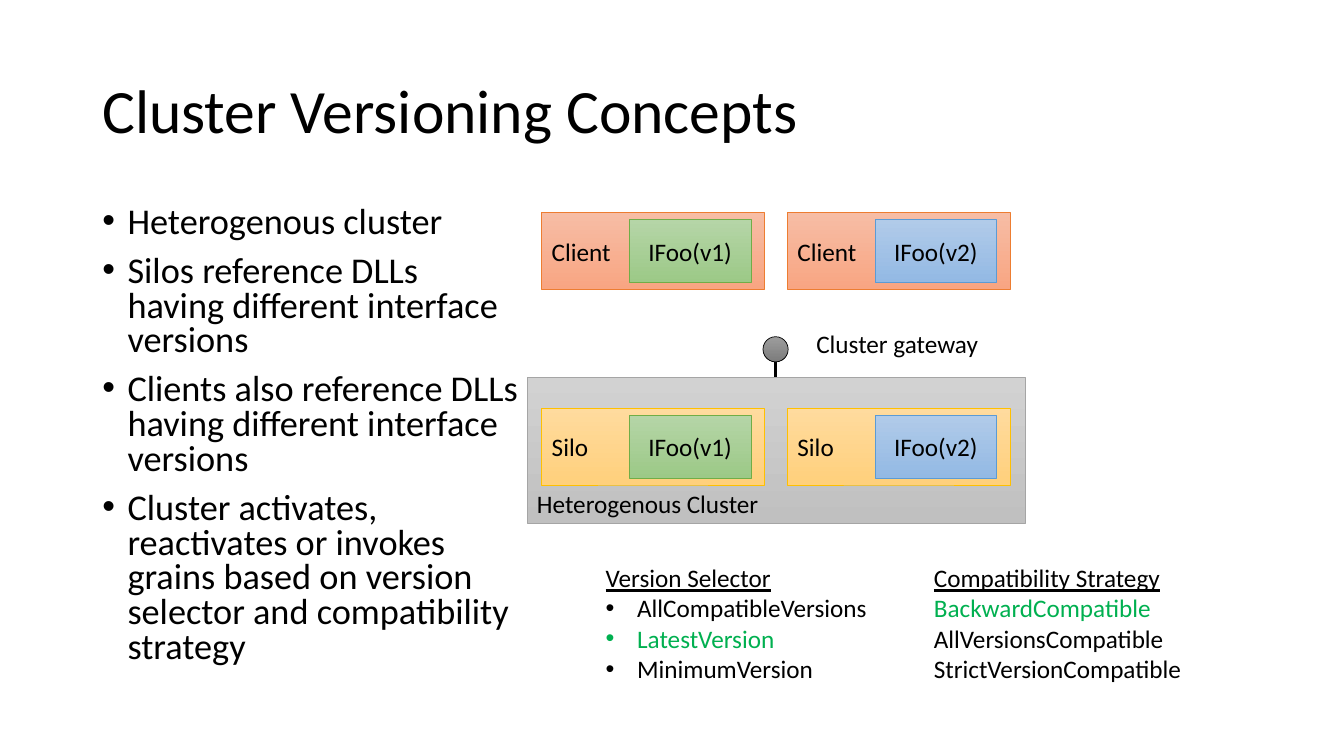
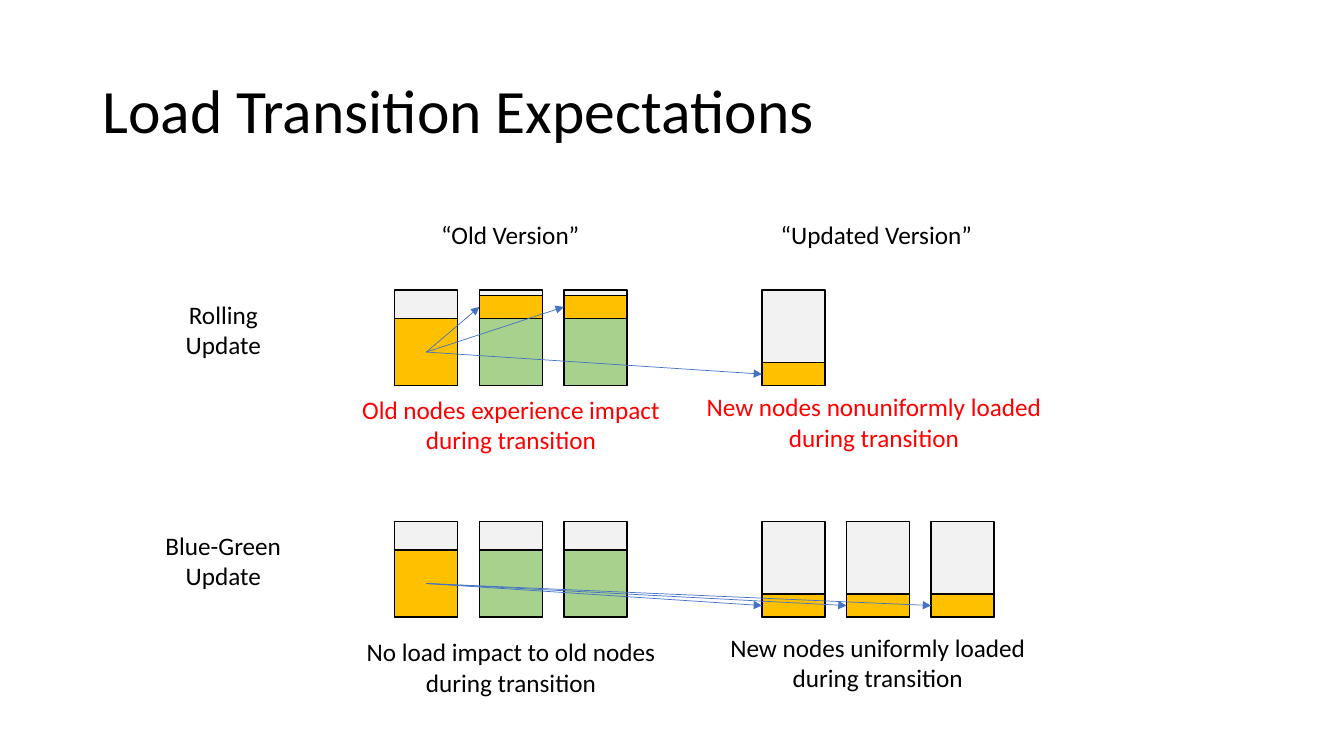
from lxml import etree
from pptx import Presentation
from pptx.dml.color import RGBColor
from pptx.enum import shapes, text
from pptx.oxml import ns
from pptx.util import Pt

BLACK = RGBColor(0x00, 0x00, 0x00)
RED = RGBColor(0xFF, 0x00, 0x00)
CHOSEN = RGBColor(0x00, 0xB0, 0x50)
FREE = RGBColor(0xF2, 0xF2, 0xF2)
MOVED = RGBColor(0xFF, 0xC0, 0x00)
KEPT = RGBColor(0xA9, 0xD1, 0x8E)
ARROW = RGBColor(0x44, 0x72, 0xC4)
FONT = "Calibri"
LEFT, CENTER = text.PP_ALIGN.LEFT, text.PP_ALIGN.CENTER
TOP, MIDDLE, BOTTOM = (text.MSO_ANCHOR.TOP, text.MSO_ANCHOR.MIDDLE,
                       text.MSO_ANCHOR.BOTTOM)

# Gradient styles: top colour, bottom colour, outline
GRADIENTS = {
    "cluster": ("D2D2D2", "C0C0C0", "A5A5A5"),
    "Silo": ("FFDB9E", "FFD07C", "FFC000"),
    "Client": ("F7BDA5", "F8A582", "ED7D31"),
    "IFoo(v1)": ("B5D5A7", "9CC987", "70AD47"),
    "IFoo(v2)": ("B1CBE9", "93B9E4", "5B9BD5"),
    "gateway": ("9D9D9D", "7C7C7C", "000000"),
}

# Content of the concepts slide
CONCEPTS = [
    "Heterogenous cluster",
    "Silos reference DLLs having different interface versions",
    "Clients also reference DLLs having different interface versions",
    "Cluster activates, reactivates or invokes grains based on version "
    "selector and compatibility strategy",
]
HOST_ROWS = [("Client", 152), ("Silo", 291.5)]
HOST_COLUMNS = [("IFoo(v1)", 387), ("IFoo(v2)", 562.5)]
# Heading, left, width, bullet indent, options, chosen option
OPTION_LISTS = [
    ("Version Selector", 425.5, 215, 22.5,
     ["AllCompatibleVersions", "LatestVersion", "MinimumVersion"],
     "LatestVersion"),
    ("Compatibility Strategy", 660, 222, 0,
     ["BackwardCompatible", "AllVersionsCompatible",
      "StrictVersionCompatible"], "BackwardCompatible"),
]

# Content of the load slide; a node lists its loads from the bottom up
NODE_WIDTH, NODE_HEIGHT, NODE_PITCH = 45, 68.5, 60.4
SOURCE_LOAD, SHARE = (48, MOVED), (16.5, MOVED)
KEPT_LOAD = (48, KEPT)
OLD_LEFT, NEW_LEFT = 282, 544.3
VERSIONS = [("“Old Version”", 364.5), ("“Updated Version”", 626)]
UPDATES = [
    {"label": ["Rolling", "Update"], "top": 207, "color": RED,
     "old": [[SOURCE_LOAD]] + [[KEPT_LOAD, SHARE]] * 2,
     "new": [[SHARE]],
     "captions": [
         (["Old nodes experience impact", "during transition"], 365, 278.3),
         (["New nodes nonuniformly loaded", "during transition"],
          624.3, 276.2)]},
    {"label": ["Blue-Green", "Update"], "top": 372.3, "color": BLACK,
     "old": [[SOURCE_LOAD]] + [[KEPT_LOAD]] * 2,
     "new": [[SHARE]] * 3,
     "captions": [
         (["No load impact to old nodes", "during transition"], 365, 451.2),
         (["New nodes uniformly loaded", "during transition"], 627, 448)]},
]


def add_paragraph(frame, words, size=18, color=BLACK, align=LEFT,
                  underline=False, indent=0, line_spacing=None, before=0):
    """Add one paragraph, using the frame's first one while it is empty."""
    paragraph = frame.paragraphs[0]
    if paragraph.runs:
        paragraph = frame.add_paragraph()
    paragraph.alignment = align
    paragraph.space_before = Pt(before)
    if line_spacing:
        paragraph.line_spacing = line_spacing
    run = paragraph.add_run()
    run.text = words
    run.font.name, run.font.size = FONT, Pt(size)
    run.font.color.rgb, run.font.underline = color, underline
    if indent:
        properties = paragraph._p.get_or_add_pPr()
        properties.set("marL", str(Pt(indent)))
        properties.set("indent", str(-Pt(indent)))
        etree.SubElement(properties, ns.qn("a:buFont"), typeface="Arial")
        etree.SubElement(properties, ns.qn("a:buChar"), char="•")


def add_text_box(slide, left, top, width, height, anchor=TOP):
    box = slide.shapes.add_textbox(Pt(left), Pt(top), Pt(width), Pt(height))
    frame = box.text_frame
    frame.word_wrap, frame.vertical_anchor = True, anchor
    return frame


def add_centered(slide, lines, center, top, color=BLACK, width=280):
    frame = add_text_box(slide, center - width / 2, top, width,
                         7.2 + 22 * len(lines))
    for line in lines:
        add_paragraph(frame, line, color=color, align=CENTER)


def add_box(slide, left, top, width, height,
            kind=shapes.MSO_SHAPE.RECTANGLE):
    shape = slide.shapes.add_shape(kind, Pt(left), Pt(top),
                                   Pt(width), Pt(height))
    shape.shadow.inherit = False
    return shape


def add_gradient_box(slide, style, *place, words=None, align=LEFT,
                     anchor=MIDDLE, kind=shapes.MSO_SHAPE.RECTANGLE):
    shape = add_box(slide, *place, kind=kind)
    *ends, outline = map(RGBColor.from_string, GRADIENTS[style])
    shape.fill.gradient()
    shape.fill.gradient_angle = 270
    for stop, color in zip(shape.fill.gradient_stops, ends):
        stop.color.rgb = color
    shape.line.color.rgb, shape.line.width = outline, Pt(0.5)
    if words:
        shape.text_frame.vertical_anchor = anchor
        add_paragraph(shape.text_frame, words, align=align)


def add_plain_box(slide, color, *place):
    shape = add_box(slide, *place)
    shape.fill.solid()
    shape.fill.fore_color.rgb = color
    shape.line.color.rgb, shape.line.width = BLACK, Pt(1)


def add_line(slide, start, end, color, width, arrow=False):
    line = slide.shapes.add_connector(shapes.MSO_CONNECTOR.STRAIGHT,
                                      *map(Pt, start + end))
    line.line.color.rgb, line.line.width = color, Pt(width)
    if arrow:
        etree.SubElement(line.line._get_or_add_ln(), ns.qn("a:tailEnd"),
                         type="triangle")
    etree.SubElement(line._element.spPr, ns.qn("a:effectLst"))


def add_titled_slide(presentation, title):
    slide = presentation.slides.add_slide(presentation.slide_layouts[6])
    frame = add_text_box(slide, 66, 28.8, 828, 104.4, MIDDLE)
    add_paragraph(frame, title, size=44, line_spacing=0.9)
    return slide


def build_concepts(presentation):
    slide = add_titled_slide(presentation, "Cluster Versioning Concepts")
    frame = add_text_box(slide, 66, 144, 312, 342.7)
    for concept in CONCEPTS:
        add_paragraph(frame, concept, size=25.9, indent=18,
                      line_spacing=0.8, before=10)

    # Cluster and its gateway
    add_gradient_box(slide, "cluster", 376.5, 269.3, 355.7, 104.4,
                     words="Heterogenous Cluster", anchor=BOTTOM)
    add_gradient_box(slide, "gateway", 545, 240.5, 18, 18,
                     kind=shapes.MSO_SHAPE.OVAL)
    add_line(slide, (554, 258.5), (554, 269.3), BLACK, 2.25)
    add_paragraph(add_text_box(slide, 576, 231.2, 140, 29),
                  "Cluster gateway")

    # Clients and silos, each holding an interface version
    for host, top in HOST_ROWS:
        for interface, left in HOST_COLUMNS:
            add_gradient_box(slide, host, left, top, 159, 55, words=host)
            add_gradient_box(slide, interface, left + 62.5, top + 5, 87, 45,
                             words=interface, align=CENTER)

    # Strategy options
    for heading, left, width, indent, options, chosen in OPTION_LISTS:
        frame = add_text_box(slide, left, 398.2, width, 94.3)
        add_paragraph(frame, heading, underline=True)
        for option in options:
            add_paragraph(frame, option, indent=indent,
                          color=CHOSEN if option == chosen else BLACK)


def add_node(slide, left, top, loads):
    """Draw a node; return the top and height of its uppermost load."""
    add_plain_box(slide, FREE, left, top, NODE_WIDTH, NODE_HEIGHT)
    level = top + NODE_HEIGHT
    for height, color in loads:
        level -= height
        add_plain_box(slide, color, left, level, NODE_WIDTH, height)
    return level, height


def build_load(presentation):
    slide = add_titled_slide(presentation, "Load Transition Expectations")
    for version, center in VERSIONS:
        add_centered(slide, [version], center, 153.4)
    for update in UPDATES:
        top = update["top"]
        add_centered(slide, update["label"], 159.5, top + 3, width=120)

        # Nodes, noting where load leaves and arrives
        targets = []
        for first, nodes in ((OLD_LEFT, update["old"]),
                             (NEW_LEFT, update["new"])):
            for index, loads in enumerate(nodes):
                left = first + index * NODE_PITCH
                level, height = add_node(slide, left, top, loads)
                middle = level + height / 2
                if loads[-1] == SOURCE_LOAD:
                    source = (left + NODE_WIDTH / 2, middle)
                elif loads[-1] == SHARE:
                    targets.append((left, middle))
        for target in targets:
            add_line(slide, source, target, ARROW, 0.5, arrow=True)

        for lines, center, caption_top in update["captions"]:
            add_centered(slide, lines, center, caption_top, update["color"])


def main():
    presentation = Presentation()
    presentation.slide_width, presentation.slide_height = Pt(960), Pt(540)
    build_concepts(presentation)
    build_load(presentation)
    presentation.save("out.pptx")


if __name__ == "__main__":
    main()
